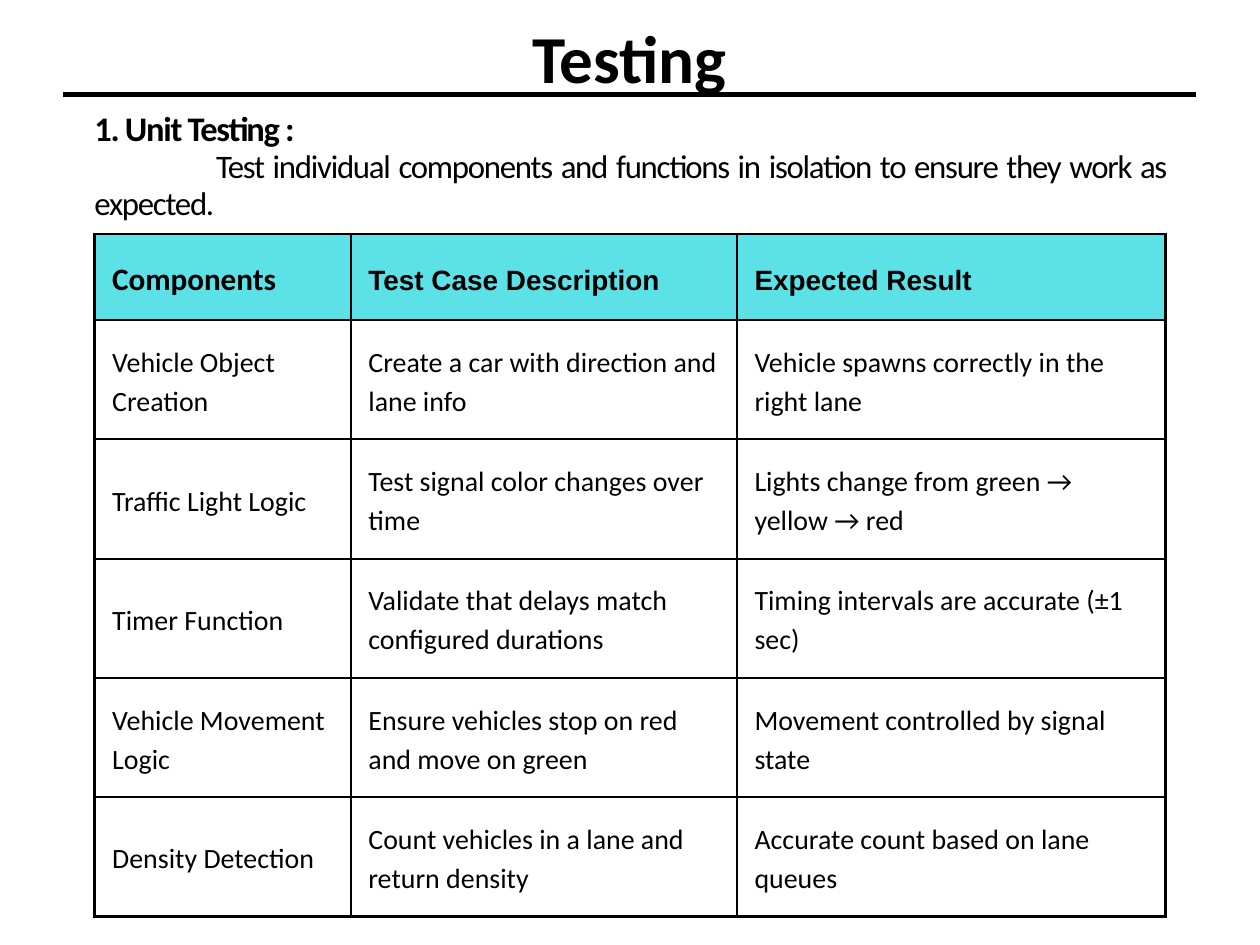
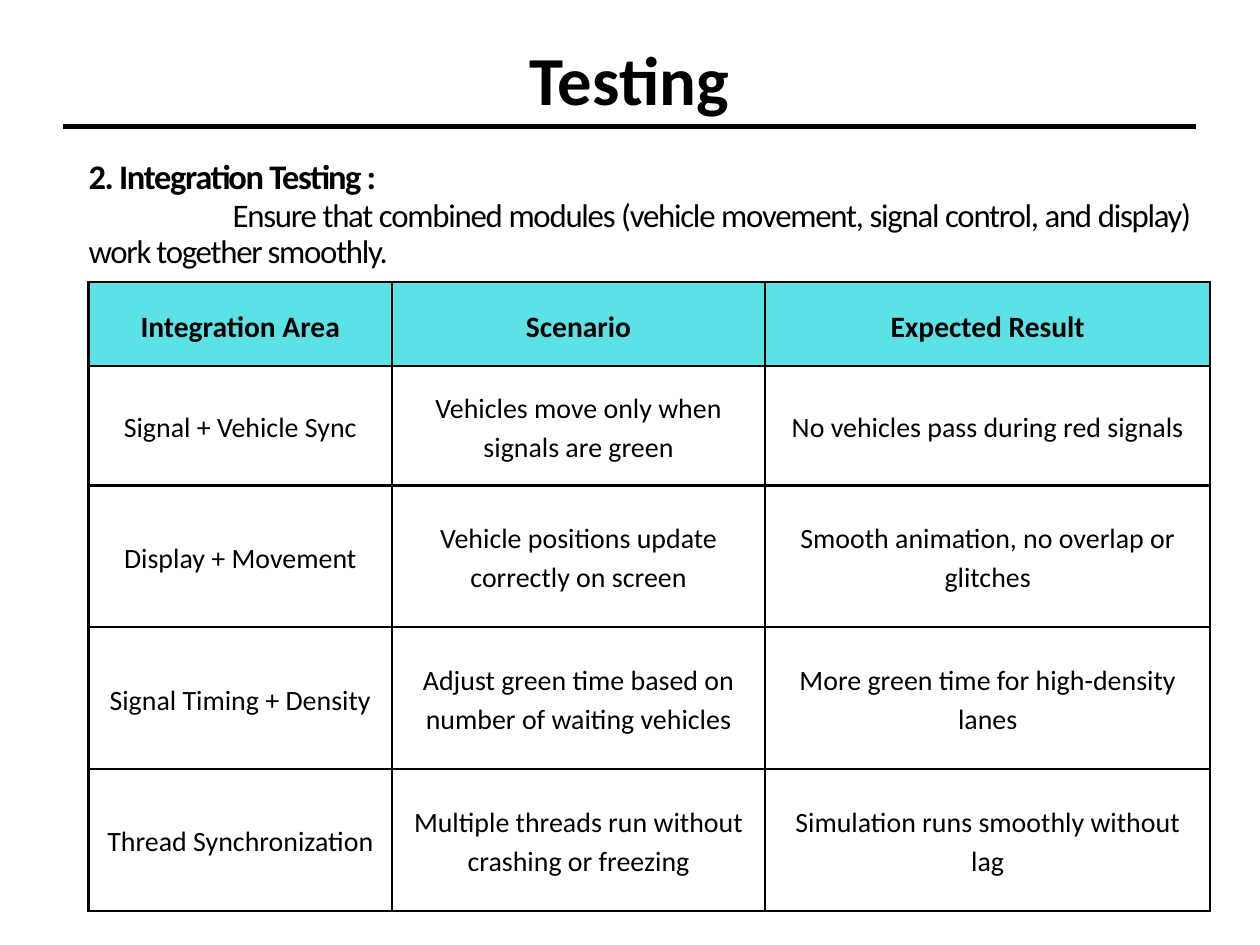
from dataclasses import dataclass

import pptx
import pptx.dml.color
import pptx.enum.text
import pptx.oxml.ns
import pptx.util
from lxml import etree

PX = 9144  # EMU in one px, 100 px to the inch
Align = pptx.enum.text.PP_ALIGN
Anchor = pptx.enum.text.MSO_ANCHOR


@dataclass(frozen=True)
class Theme:
    ink: str = "000000"
    header_fill: str = "5CE1E6"
    font: str = "Calibri"
    heading_size: float = 21
    intro_size: float = 20
    cell_size: float = 17
    tracking: float = -0.8
    rule_width: float = 3
    border_width: float = 1.5
    title_leading: float = 1.2
    body_leading: float = 1.12
    cell_leading: float = 1.4
    cell_margin: int = 15


THEME = Theme()


@dataclass(frozen=True)
class Box:
    left: int
    top: int
    width: int
    height: int


@dataclass(frozen=True)
class Header:
    text: str
    size: float
    font: str = THEME.font


@dataclass(frozen=True)
class Grid:
    left: int
    top: int
    columns: list[int]
    rows: list[int]
    align: Align
    headers: list[Header]
    records: list[tuple[str, str, str]]


@dataclass(frozen=True)
class Page:
    title_box: Box
    title_size: float
    rule_top: int
    body_box: Box
    heading: str
    intro: str
    intro_indent: int
    grid: Grid


PAGES = [
    Page(
        title_box=Box(53, -22, 960, 140),
        title_size=40.9,
        rule_top=80,
        body_box=Box(80, 93, 907, 150),
        heading="1. Unit Testing :",
        intro="Test individual components and functions in isolation "
              "to ensure they work as expected.",
        intro_indent=103,
        grid=Grid(
            80, 198, [217, 327, 363], [73] + [101] * 5, Align.LEFT,
            [Header("Components", 19),
             Header("Test Case Description", 17, "Arial"),
             Header("Expected Result", 17, "Arial")],
            [("Vehicle Object Creation",
              "Create a car with direction and lane info",
              "Vehicle spawns correctly in the right lane"),
             ("Traffic Light Logic",
              "Test signal color changes over time",
              "Lights change from green → yellow → red"),
             ("Timer Function",
              "Validate that delays match configured durations",
              "Timing intervals are accurate (±1 sec)"),
             ("Vehicle Movement Logic",
              "Ensure vehicles stop on red and move on green",
              "Movement controlled by signal state"),
             ("Density Detection",
              "Count vehicles in a lane and return density",
              "Accurate count based on lane queues")],
        ),
    ),
    Page(
        title_box=Box(53, -4, 960, 140),
        title_size=41.9,
        rule_top=107,
        body_box=Box(75, 134, 932, 150),
        heading="2. Integration Testing :",
        intro="Ensure that combined modules (vehicle movement, signal control, "
              "and display) work together smoothly.",
        intro_indent=122,
        grid=Grid(
            75, 239, [257, 316, 377], [71, 101] + [120] * 3, Align.CENTER,
            [Header("Integration Area", 18),
             Header("Scenario", 18),
             Header("Expected Result", 18)],
            [("Signal + Vehicle Sync",
              "Vehicles move only when signals are green",
              "No vehicles pass during red signals"),
             ("Display + Movement",
              "Vehicle positions update correctly on screen",
              "Smooth animation, no overlap or glitches"),
             ("Signal Timing + Density",
              "Adjust green time based on number of waiting vehicles",
              "More green time for high-density lanes"),
             ("Thread Synchronization",
              "Multiple threads run without crashing or freezing",
              "Simulation runs smoothly without lag")],
        ),
    ),
]


def color(value: str) -> pptx.dml.color.RGBColor:
    return pptx.dml.color.RGBColor.from_string(value)


def add_child(parent, tag: str, **attributes: str):
    return etree.SubElement(parent, pptx.oxml.ns.qn(tag), attributes)


def write(para, text: str, size: float, leading: float, align: Align,
          bold: bool = False, font: str = THEME.font):
    """Add one run to the paragraph; leading is a multiple of the type size."""
    para.alignment = align
    para.line_spacing = pptx.util.Pt(round(size * leading, 1))
    para.space_before = para.space_after = pptx.util.Pt(0)
    span = para.add_run()
    span.text = text
    span.font.name = font
    span.font.size = pptx.util.Pt(size)
    span.font.bold = bold
    span.font.color.rgb = color(THEME.ink)
    return span


def fit_placeholder(shape, box: Box, anchor: Anchor):
    """Move a placeholder, clear its insets and return its text frame."""
    shape.left, shape.top = box.left * PX, box.top * PX
    shape.width, shape.height = box.width * PX, box.height * PX
    frame = shape.text_frame
    frame.margin_left = frame.margin_right = 0
    frame.margin_top = frame.margin_bottom = 0
    frame.word_wrap = True
    frame.auto_size = pptx.enum.text.MSO_AUTO_SIZE.NONE
    frame.vertical_anchor = anchor
    return frame


def write_body_line(para, text: str, size: float, bold: bool, indent: int) -> None:
    properties = para._p.get_or_add_pPr()
    properties.set("marL", "0")
    properties.set("indent", str(indent * PX))
    add_child(properties, "a:buNone")
    span = write(para, text, size, THEME.body_leading, Align.JUSTIFY, bold)
    span._r.get_or_add_rPr().set("spc", str(round(THEME.tracking * 100)))


def add_rule(slide, left: int, right: int, top: int) -> None:
    rule = slide.shapes.add_connector(
        pptx.enum.shapes.MSO_CONNECTOR.STRAIGHT,
        left * PX, top * PX, right * PX, top * PX)
    rule.line.color.rgb = color(THEME.ink)
    rule.line.width = pptx.util.Pt(THEME.rule_width)
    add_child(rule._element.spPr, "a:effectLst")


def add_borders(cell) -> None:
    properties = cell._tc.get_or_add_tcPr()
    for side in ("a:lnL", "a:lnR", "a:lnT", "a:lnB"):
        line = add_child(properties, side,
                         w=str(int(pptx.util.Pt(THEME.border_width))))
        fill = add_child(line, "a:solidFill")
        add_child(fill, "a:srgbClr", val=THEME.ink)


def prepare_cell(cell):
    """Give a cell its borders and margins and return its first paragraph."""
    add_borders(cell)
    margin = THEME.cell_margin * PX
    cell.margin_left = cell.margin_right = margin
    cell.margin_top = cell.margin_bottom = margin
    cell.vertical_anchor = Anchor.MIDDLE
    return cell.text_frame.paragraphs[0]


def add_grid(slide, grid: Grid) -> None:
    table = slide.shapes.add_table(
        len(grid.rows), len(grid.columns), grid.left * PX, grid.top * PX,
        sum(grid.columns) * PX, sum(grid.rows) * PX).table
    table.first_row = table.horz_banding = False
    for column, width in zip(table.columns, grid.columns):
        column.width = width * PX
    for row, height in zip(table.rows, grid.rows):
        row.height = height * PX

    for index, header in enumerate(grid.headers):
        cell = table.cell(0, index)
        para = prepare_cell(cell)
        cell.fill.solid()
        cell.fill.fore_color.rgb = color(THEME.header_fill)
        write(para, header.text, header.size, THEME.cell_leading,
              grid.align, True, header.font)
    for row_index, record in enumerate(grid.records, start=1):
        for index, text in enumerate(record):
            cell = table.cell(row_index, index)
            para = prepare_cell(cell)
            cell.fill.background()
            write(para, text, THEME.cell_size, THEME.cell_leading, grid.align)


def add_page(deck, page: Page) -> None:
    slide = deck.slides.add_slide(deck.slide_layouts[1])
    title = fit_placeholder(slide.shapes.title, page.title_box, Anchor.MIDDLE)
    write(title.paragraphs[0], "Testing", page.title_size,
          THEME.title_leading, Align.CENTER, True)

    body = fit_placeholder(slide.placeholders[1], page.body_box, Anchor.TOP)
    write_body_line(body.paragraphs[0], page.heading, THEME.heading_size, True, 0)
    write_body_line(body.add_paragraph(), page.intro, THEME.intro_size, False,
                    page.intro_indent)

    add_rule(slide, page.title_box.left,
             page.title_box.left + page.title_box.width, page.rule_top)
    add_grid(slide, page.grid)


def main() -> None:
    deck = pptx.Presentation()
    deck.slide_width, deck.slide_height = 1067 * PX, 800 * PX
    for page in PAGES:
        add_page(deck, page)
    deck.save("out.pptx")


if __name__ == "__main__":
    import pptx.enum.shapes
    main()
